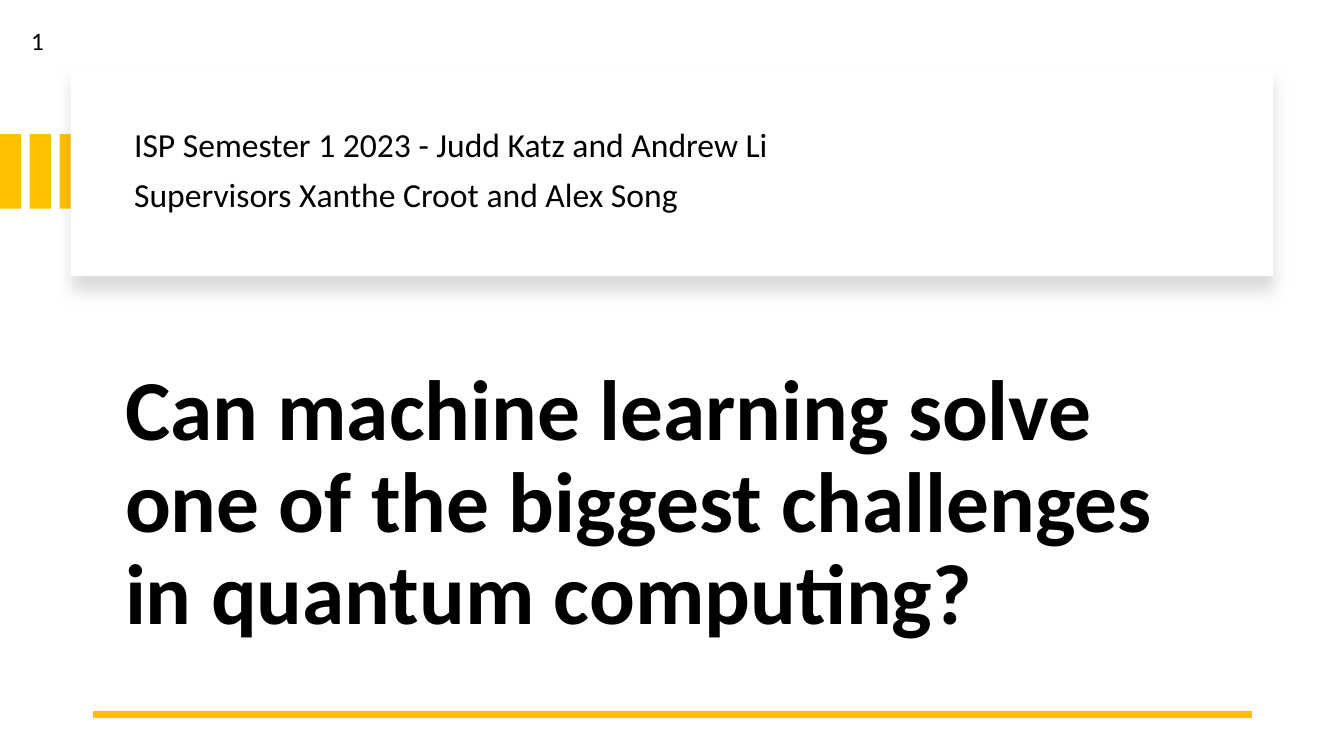
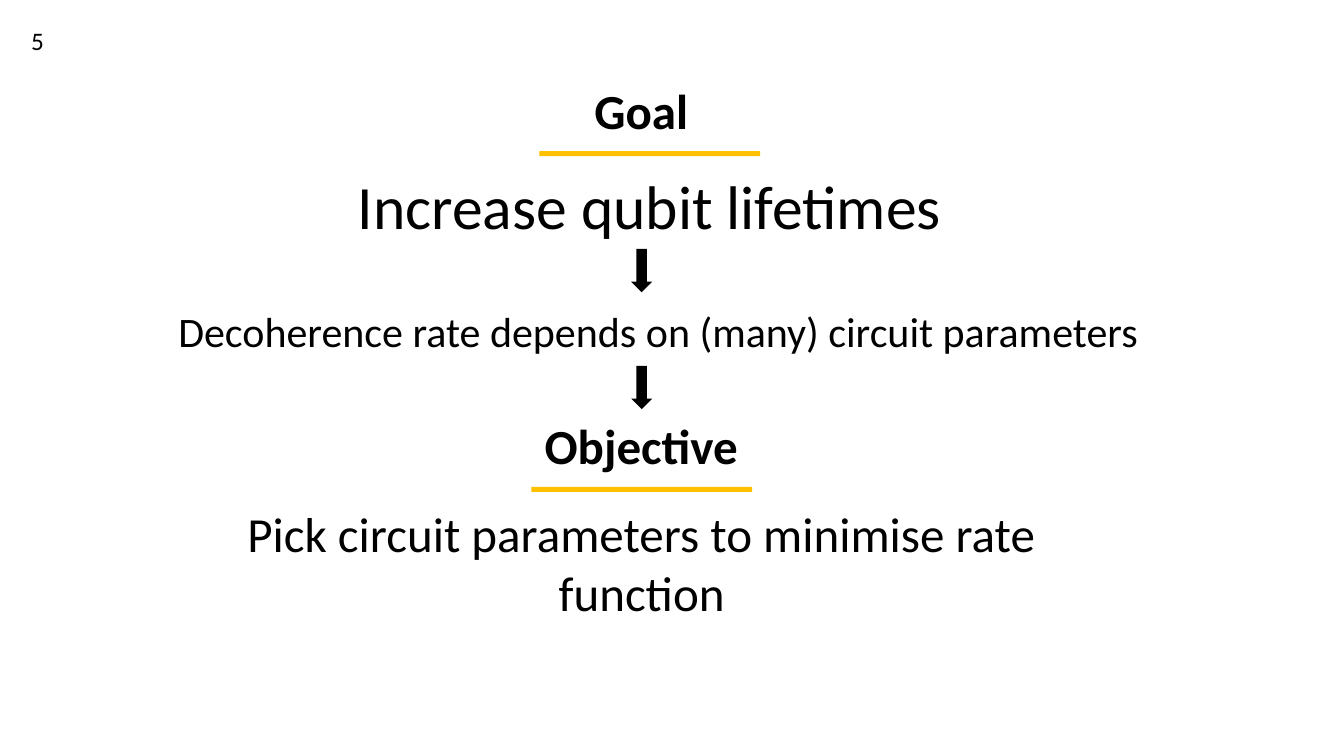
from lxml.etree import SubElement
from pptx import Presentation
from pptx.dml.color import RGBColor
from pptx.enum.shapes import MSO_CONNECTOR, MSO_SHAPE
from pptx.enum.text import MSO_ANCHOR, MSO_AUTO_SIZE, PP_ALIGN
from pptx.oxml.ns import qn
from pptx.util import Inches, Pt

AMBER = RGBColor(0xFF, 0xC0, 0x00)
BLACK = RGBColor(0x00, 0x00, 0x00)
WHITE = RGBColor(0xFF, 0xFF, 0xFF)
FONT = "Calibri"
TITLE_SLIDE, TITLE_ONLY = 0, 5


def place(shape, left, top, width, height):
    shape.left, shape.top = Inches(left), Inches(top)
    shape.width, shape.height = Inches(width), Inches(height)


def write_text(shape, lines, size=24, bold=False, align=PP_ALIGN.LEFT,
               anchor=MSO_ANCHOR.TOP, line_spacing=1.0, space_before=0):
    """Fill a text box or placeholder, one paragraph for each line."""
    frame = shape.text_frame
    frame.word_wrap = True
    frame.auto_size = MSO_AUTO_SIZE.NONE
    frame.vertical_anchor = anchor
    frame.text = "\n".join(lines)
    for paragraph in frame.paragraphs:
        paragraph.alignment = align
        paragraph.line_spacing = line_spacing
        paragraph.space_before = Pt(space_before)
        font = paragraph.runs[0].font
        font.name, font.size, font.bold = FONT, Pt(size), bold
        font.color.rgb = BLACK


def add_text(slide, box, text, **text_format):
    text_box = slide.shapes.add_textbox(*map(Inches, box))
    write_text(text_box, [text], **text_format)
    return text_box


def add_block(slide, box, color, kind=MSO_SHAPE.RECTANGLE):
    block = slide.shapes.add_shape(kind, *map(Inches, box))
    block.shadow.inherit = False
    block.fill.solid()
    block.fill.fore_color.rgb = color
    block.line.fill.background()
    return block


def add_soft_shadow(shape):
    effects = shape._element.spPr.find(qn("a:effectLst"))
    shadow = SubElement(effects, qn("a:outerShdw"), blurRad=str(Pt(11)),
                        dist=str(Pt(10)), dir="5400000", rotWithShape="0")
    color = SubElement(shadow, qn("a:srgbClr"), val=str(BLACK))
    SubElement(color, qn("a:alpha"), val="15000")


def add_rule(slide, left, right, y):
    rule = slide.shapes.add_connector(
        MSO_CONNECTOR.STRAIGHT, Inches(left), Inches(y), Inches(right), Inches(y))
    rule.line.color.rgb = AMBER
    rule.line.width = Pt(4.5)
    SubElement(rule._element.spPr, qn("a:effectLst"))


def add_page_number(slide, number):
    add_text(slide, (0.21, 0.2, 0.37, 0.4), str(number), size=18)


def add_byline_card(slide, left, top, width, height, lines):
    """White card with amber bars running in from the slide's left edge."""
    for index in range(3):
        add_block(slide, (index * 0.295, top + 0.66, 0.21, 0.74), AMBER)
    card = add_block(slide, (left, top, width, height), WHITE)
    add_soft_shadow(card)
    byline = slide.placeholders[1]
    place(byline, left + 0.53, top, width - 1.06, height)
    write_text(byline, lines, size=24, anchor=MSO_ANCHOR.MIDDLE,
               line_spacing=0.9, space_before=10)
    # Bring the byline in front of the card
    card._element.addnext(byline._element)


def add_underline(slide, left, top):
    add_block(slide, (left, top, 2.19, 0.05), AMBER)


def build_title_slide(presentation):
    slide = presentation.slides.add_slide(presentation.slide_layouts[TITLE_SLIDE])
    add_byline_card(slide, 0.7, 0.67, 11.93, 2.07, [
        "ISP Semester 1 2023 - Judd Katz and Andrew Li",
        "Supervisors Xanthe Croot and Alex Song"])
    place(slide.shapes.title, 1.14, 3.3, 10.87, 3.42)
    write_text(slide.shapes.title, [
        "Can machine learning solve one of the biggest challenges in quantum computing?"],
        size=61, bold=True, anchor=MSO_ANCHOR.MIDDLE, line_spacing=0.9, space_before=10)
    add_rule(slide, 0.92, 12.42, 7.09)
    add_page_number(slide, 1)


def build_goal_slide(presentation):
    slide = presentation.slides.add_slide(presentation.slide_layouts[TITLE_ONLY])
    heading = {"size": 35, "bold": True, "align": PP_ALIGN.CENTER}

    # Goal
    place(slide.shapes.title, 4.82, 0.75, 3.08, 0.69)
    write_text(slide.shapes.title, ["Goal"], **heading)
    add_underline(slide, 5.35, 1.5)
    add_text(slide, (2.19, 1.62, 8.51, 0.84), "Increase qubit lifetimes",
             size=44, align=PP_ALIGN.CENTER)

    # Reasoning that leads from the goal to the objective
    add_text(slide, (1.67, 2.98, 10, 0.61),
             "Decoherence rate depends on (many) circuit parameters",
             size=30, align=PP_ALIGN.JUSTIFY)
    for top in (2.47, 3.63):
        add_block(slide, (6.26, top, 0.21, 0.43), BLACK, MSO_SHAPE.DOWN_ARROW)

    # Objective
    add_text(slide, (4.67, 4.07, 3.38, 0.69), "Objective", **heading)
    add_underline(slide, 5.27, 4.83)
    add_text(slide, (2.11, 4.95, 8.51, 1.28),
             "Pick circuit parameters to minimise rate function",
             size=35, align=PP_ALIGN.CENTER)
    add_page_number(slide, 5)


def main():
    presentation = Presentation()
    presentation.slide_width, presentation.slide_height = Inches(13.33), Inches(7.5)
    build_title_slide(presentation)
    build_goal_slide(presentation)
    presentation.save("out.pptx")


if __name__ == "__main__":
    main()
